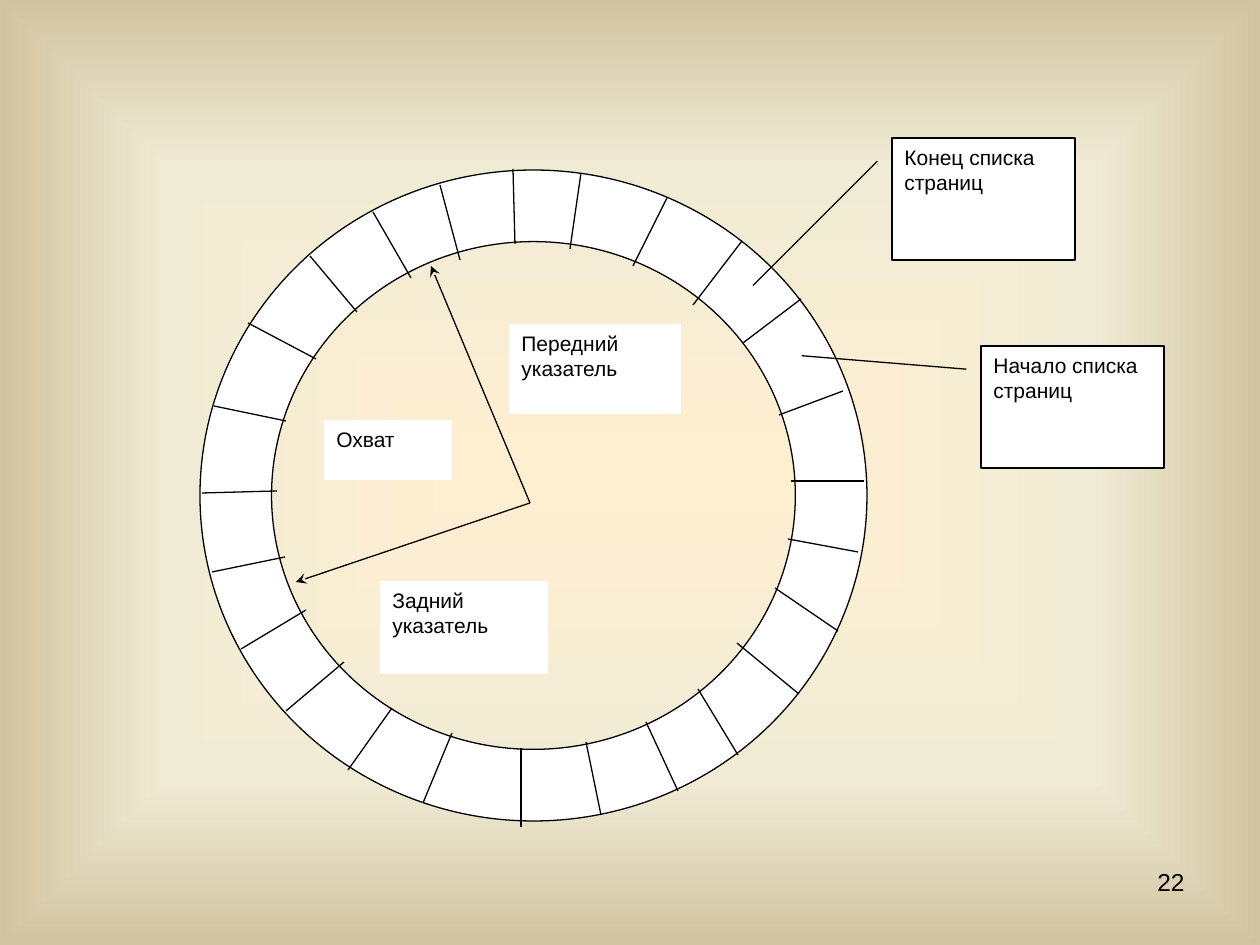
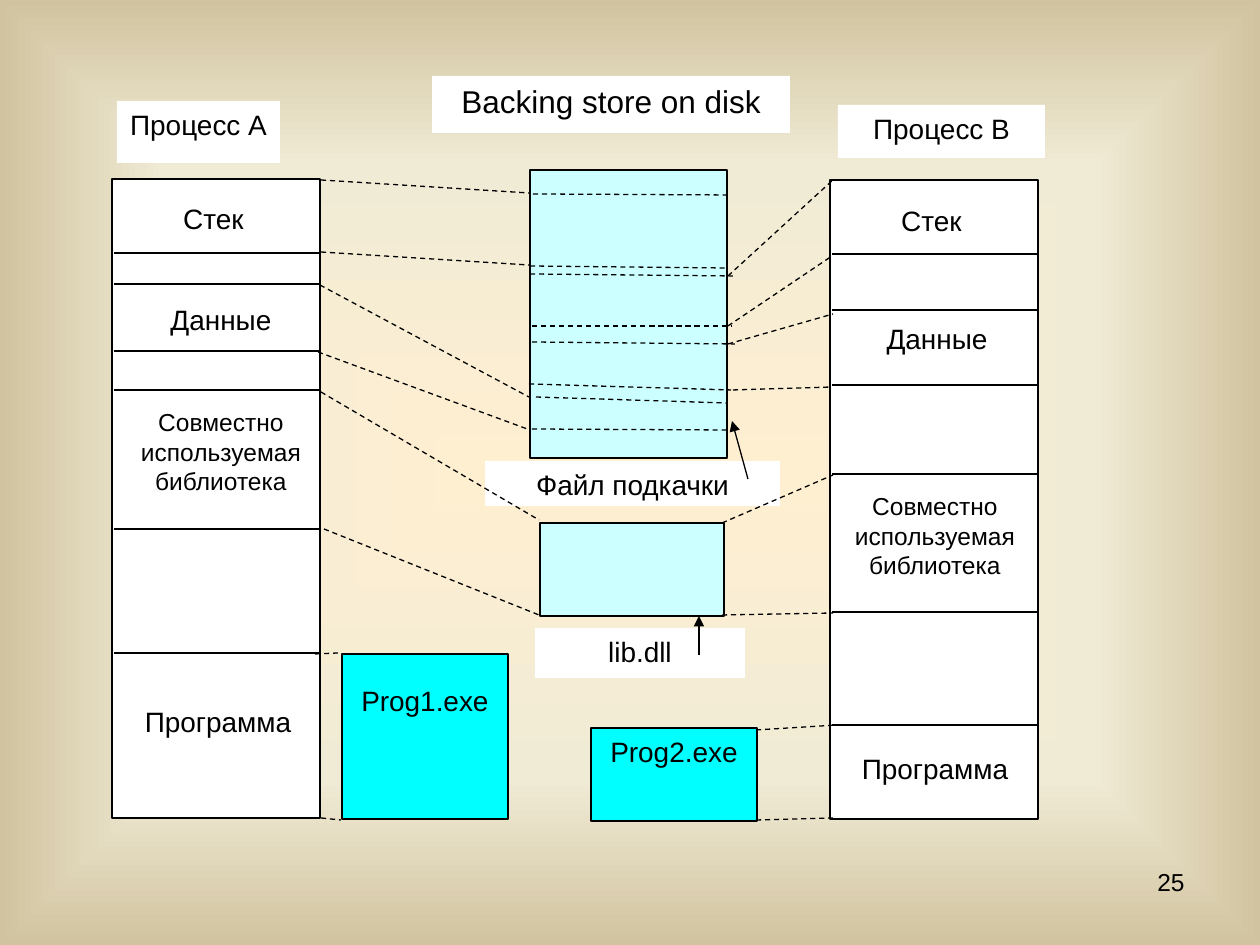
from lxml import etree
from pptx import Presentation, oxml
from pptx import util as u
from pptx.dml.color import RGBColor
from pptx.enum import dml, shapes, text
from pptx.oxml.ns import nsdecls, qn

PX = u.Inches(1) / 126
FONT = "Arial"
COLORS = {
    "ink": "000000",
    "paper": "FFFFFF",
    "disk": "CCFFFF",
    "program": "00FFFF",
    "glow": "FFEFD1",
    "cream": "F0EBD5",
    "sand": "D1C39F",
}
RECT = shapes.MSO_SHAPE.RECTANGLE
LEFT, CENTER, RIGHT = text.PP_ALIGN.LEFT, text.PP_ALIGN.CENTER, text.PP_ALIGN.RIGHT

# Page ring: cell borders clockwise from the top
RING_TICKS = [
    (513, 169, 515, 244), (581, 173, 570, 249), (667, 198, 633, 266),
    (742, 241, 693, 305), (801, 299, 743, 343), (843, 391, 779, 415),
    (864, 481, 791, 481), (788, 539, 858, 552), (775, 588, 838, 631),
    (737, 643, 799, 694), (698, 689, 738, 755), (646, 722, 678, 791),
    (586, 742, 601, 815), (521, 748, 521, 827), (452, 733, 423, 803),
    (392, 708, 348, 770), (344, 662, 286, 711), (306, 610, 241, 649),
    (285, 557, 212, 572), (277, 491, 202, 493), (286, 421, 214, 406),
    (316, 359, 248, 323), (357, 312, 310, 256), (411, 278, 373, 212),
    (460, 260, 440, 185),
]

# Dashed links between the address spaces and the files on disk
MAPPINGS = [
    # process A to the swap file
    (321, 180, 529, 193), (321, 252, 529, 265),
    (320, 285, 529, 397), (318, 352, 530, 430),
    # process B to the swap file
    (728, 276, 834, 179), (728, 326, 832, 256),
    (728, 344, 833, 314), (733, 390, 832, 387),
    # areas inside the swap file
    (533, 194, 728, 195), (530, 266, 726, 268), (530, 274, 733, 276),
    (532, 326, 731, 326), (532, 342, 735, 344), (529, 384, 731, 390),
    (536, 397, 726, 403), (532, 429, 727, 430),
    # shared library
    (321, 392, 539, 520), (324, 529, 539, 615),
    (722, 523, 833, 475), (722, 615, 833, 613),
    # program files
    (315, 654, 338, 653), (321, 818, 341, 820),
    (756, 730, 837, 725), (756, 820, 833, 818),
]


def px(value):
    return u.Emu(round(value * PX))


def rgb(name):
    return RGBColor.from_string(COLORS[name])


def set_background(master):
    master.background.fill.gradient()
    default = master.element.find(".//" + qn("a:gradFill"))
    stops = "".join(
        f'<a:gs pos="{pos * 1000}"><a:srgbClr val="{COLORS[name]}"/></a:gs>'
        for pos, name in ((0, "glow"), (65, "cream"), (100, "sand")))
    gradient = oxml.parse_xml(
        f'<a:gradFill {nsdecls("a")} rotWithShape="1"><a:gsLst>{stops}</a:gsLst>'
        '<a:path path="shape"><a:fillToRect l="50000" t="50000" r="50000" b="50000"/>'
        '</a:path></a:gradFill>')
    default.getparent().replace(default, gradient)


def write(box, words, size, align):
    frame = box.text_frame
    frame.word_wrap = True
    frame.vertical_anchor = text.MSO_ANCHOR.TOP
    para = frame.paragraphs[0]
    para.alignment = align
    span = para.add_run()
    span.text = words
    span.font.name = FONT
    span.font.size = u.Pt(size)
    span.font.color.rgb = rgb("ink")


def add_box(target, place, words="", size=16, align=CENTER, fill="paper",
            outlined=False, kind=RECT):
    box = target.add_shape(kind, *map(px, place))
    box.shadow.inherit = False
    box.fill.solid()
    box.fill.fore_color.rgb = rgb(fill)
    if outlined:
        box.line.color.rgb = rgb("ink")
        box.line.width = u.Pt(0.75)
    else:
        box.line.fill.background()
    if words:
        write(box, words, size, align)
    return box


def add_line(target, ends, dashed=False, arrow=None):
    line = target.add_connector(shapes.MSO_CONNECTOR.STRAIGHT, *map(px, ends))
    line.line.color.rgb = rgb("ink")
    line.line.width = u.Pt(0.75)
    if dashed:
        line.line.dash_style = dml.MSO_LINE.DASH
    props = line.element.find(qn("p:spPr"))
    if arrow:
        etree.SubElement(props.find(qn("a:ln")), qn("a:tailEnd"), type=arrow)
    etree.SubElement(props, qn("a:effectLst"))


def add_callout(target, place, words, adjustments):
    callout = add_box(target, place, words, 12, LEFT, outlined=True,
                      kind=shapes.MSO_SHAPE.LINE_CALLOUT_1)
    for index, value in enumerate(adjustments):
        callout.adjustments[index] = value


def add_page(deck, number):
    page = deck.slides.add_slide(deck.slide_layouts[6])
    box = page.shapes.add_textbox(*map(px, (903, 861, 294, 66)))
    write(box, number, 14, RIGHT)
    return page


def add_process(page, left, top, title, title_place, labels, dividers):
    """One address space: title, column, area labels and dividing lines."""
    group = page.shapes.add_group_shape().shapes
    width = 208
    add_box(group, title_place, title)
    add_box(group, (left, top, width, 639), outlined=True)
    areas = (("Стек", 165, 48, 16), ("Данные", 152, 55, 16),
             ("Совместно используемая библиотека", 192, 115, 14),
             ("Программа", 184, 54, 16))
    for (words, wide, high, size), (x, y) in zip(areas, labels):
        add_box(group, (x, y, wide, high), words, size)
    for y in dividers:
        add_line(group, (left + 2, y, left + width, y))


def build_ring(deck):
    page = add_page(deck, "22")
    group = page.shapes.add_group_shape().shapes

    # Ring of pages
    ring = add_box(group, (200, 170, 667, 651), outlined=True,
                   kind=shapes.MSO_SHAPE.DONUT)
    ring.adjustments[0] = 0.11
    for ends in RING_TICKS:
        add_line(group, ends)

    # Clock hands
    for tip in ((431, 266), (296, 582)):
        add_line(group, (530, 503, *tip), arrow="stealth")

    # Labels and callouts
    for place, words in (((509, 324, 172, 90), "Передний указатель"),
                         ((380, 581, 168, 93), "Задний указатель"),
                         ((324, 420, 128, 60), "Охват")):
        add_box(group, place, words, 12, LEFT)
    add_callout(group, (892, 138, 183, 122), "Конец списка страниц",
                (0.19, -0.08, 1.21, -0.76))
    add_callout(group, (981, 346, 183, 122), "Начало списка страниц",
                (0.19, -0.08, 0.08, -0.98))


def build_memory_map(deck):
    page = add_page(deck, "25")

    # Address spaces
    add_process(page, 112, 179, "Процесс А", (117, 101, 163, 62),
                ((131, 195), (145, 296), (125, 401), (126, 698)),
                (253, 284, 351, 390, 529, 653))
    add_process(page, 830, 180, "Процесс В", (838, 105, 207, 53),
                ((849, 197), (861, 315), (839, 485), (843, 745)),
                (254, 310, 385, 474, 612, 725))

    # Files on disk
    target = page.shapes
    add_box(target, (432, 76, 358, 57), "Backing store on disk", 18)
    add_box(target, (530, 170, 197, 288), fill="disk", outlined=True)
    add_box(target, (485, 461, 295, 45), "Файл подкачки")
    add_box(target, (540, 523, 184, 93), fill="disk", outlined=True)
    add_box(target, (535, 628, 210, 50), "lib.dll")
    first = add_box(target, (342, 654, 166, 165), "Prog1.exe",
                    fill="program", outlined=True)
    first.text_frame.margin_top = px(30)
    add_box(target, (591, 728, 166, 93), "Prog2.exe",
            fill="program", outlined=True)

    # Pointers and mappings
    for ends in ((748, 479, 732, 421), (699, 655, 699, 616)):
        add_line(target, ends, arrow="triangle")
    for ends in MAPPINGS:
        add_line(target, ends, dashed=True)


def main():
    deck = Presentation()
    deck.slide_width, deck.slide_height = px(1260), px(945)
    set_background(deck.slide_master)
    build_ring(deck)
    build_memory_map(deck)
    deck.save("out.pptx")


main()
